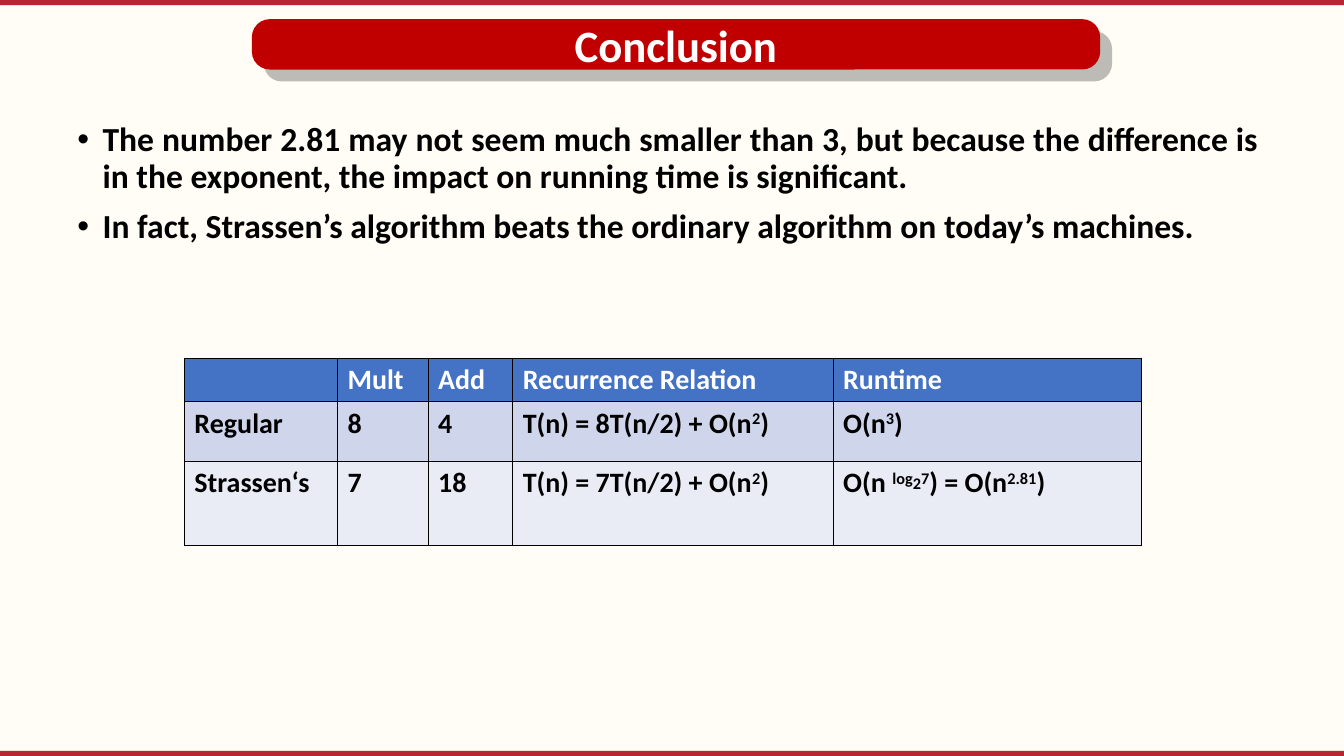
from dataclasses import dataclass

from pptx import Presentation, oxml
from pptx import util as u
from pptx.dml.color import RGBColor
from pptx.enum import shapes, text
from pptx.oxml import ns


@dataclass(frozen=True)
class Theme:
    font: str = "Calibri"
    background: str = "FFFDF5"
    edge: str = "BA2532"
    banner: str = "C00000"
    header: str = "4472C4"
    bands: tuple = ("CFD5EA", "E9EBF5")
    dark: str = "000000"
    light: str = "FFFFFF"
    title_size: int = 32
    body_size: int = 24
    table_size: int = 20


THEME = Theme()
WIDTH, HEIGHT = 13.34, 7.5
EDGE_HEIGHT = 0.05

BULLETS = (
    "The number 2.81 may not seem much smaller than 3, but because the difference is "
    "in the exponent, the impact on running time is significant.",
    "In fact, Strassen’s algorithm beats the ordinary algorithm on today’s machines.",
)

# A cell is a string, or a list of (text, baseline shift in percent)
SQUARED = [("2", 30), (")", 0)]
ROWS = (
    ("", "Mult", "Add", "Recurrence Relation", "Runtime"),
    ("Regular", "8", "4", [("T(n) = 8T(n/2) + O(n", 0), *SQUARED],
     [("O(n", 0), ("3", 30), (")", 0)]),
    ("Strassen‘s", "7", "18", [("T(n) = 7T(n/2) + O(n", 0), *SQUARED],
     [("O(n ", 0), ("log", 30), ("2", 10), ("7", 30), (") = O(n", 0),
      ("2.81", 30), (")", 0)]),
)
COLUMN_WIDTHS = (1.52, 0.9, 0.84, 3.18, 3.06)
ROW_HEIGHTS = (0.43, 0.59, 0.84)


def inches(box):
    return [u.Inches(length) for length in box]


def paint(fill, color):
    fill.solid()
    fill.fore_color.rgb = RGBColor.from_string(color)


def format_runs(paragraph, size, color):
    for run in paragraph.runs:
        run.font.name = THEME.font
        run.font.size = u.Pt(size)
        run.font.bold = True
        run.font.color.rgb = RGBColor.from_string(color)


def add_filled_shape(slide, kind, box, color):
    shape = slide.shapes.add_shape(kind, *inches(box))
    shape.shadow.inherit = False
    paint(shape.fill, color)
    shape.line.fill.background()
    return shape


def add_edges(slide, box):
    """Thin bands along the top and bottom of the box."""
    left, top, width, height = box
    for band_top in (top, top + height - EDGE_HEIGHT):
        add_filled_shape(slide, shapes.MSO_SHAPE.RECTANGLE,
                         (left, band_top, width, EDGE_HEIGHT), THEME.edge)


def add_banner(slide, box, title):
    banner = add_filled_shape(slide, shapes.MSO_SHAPE.ROUNDED_RECTANGLE, box, THEME.banner)
    banner.adjustments[0] = 0.356

    # Hard shadow down to the right
    effects = banner._element.spPr.find(ns.qn("a:effectLst"))
    effects.append(oxml.parse_xml(
        f'<a:outerShdw {ns.nsdecls("a")} blurRad="0" dist="{u.Pt(12.1)}" '
        f'dir="2700000" algn="tl" rotWithShape="0"><a:srgbClr val="{THEME.dark}">'
        '<a:alpha val="25000"/></a:srgbClr></a:outerShdw>'))

    banner.text_frame.text = title
    banner.text_frame.vertical_anchor = text.MSO_ANCHOR.MIDDLE
    paragraph = banner.text_frame.paragraphs[0]
    paragraph.alignment = text.PP_ALIGN.CENTER
    format_runs(paragraph, THEME.title_size, THEME.light)


def add_bullets(slide, box, bullets):
    frame = slide.shapes.add_textbox(*inches(box)).text_frame
    frame.word_wrap = True
    frame.text = "\n".join(bullets)
    for paragraph in frame.paragraphs:
        paragraph.alignment = text.PP_ALIGN.JUSTIFY
        paragraph.line_spacing = 0.9
        paragraph.space_before = u.Pt(10)
        format_runs(paragraph, THEME.body_size, THEME.dark)
        properties = paragraph._p.get_or_add_pPr()
        properties.set("marL", str(u.Inches(0.25)))
        properties.set("indent", str(u.Inches(-0.25)))
        for markup in ('a:buFont {} typeface="Arial"', 'a:buChar {} char="•"'):
            properties.append(oxml.parse_xml(f'<{markup.format(ns.nsdecls("a"))}/>'))


def add_borders(cell):
    properties = cell._tc.get_or_add_tcPr()
    for position, side in enumerate(("lnL", "lnR", "lnT", "lnB")):
        properties.insert(position, oxml.parse_xml(
            f'<a:{side} {ns.nsdecls("a")} w="{u.Pt(0.45)}"><a:solidFill>'
            f'<a:srgbClr val="{THEME.dark}"/></a:solidFill></a:{side}>'))


def fill_cell(cell, content, fill, color):
    paint(cell.fill, fill)
    add_borders(cell)
    paragraph = cell.text_frame.paragraphs[0]
    pieces = [(content, 0)] if isinstance(content, str) else content
    for piece, shift in pieces:
        if not piece:
            continue
        run = paragraph.add_run()
        run.text = piece
        if shift:
            run._r.get_or_add_rPr().set("baseline", str(shift * 1000))
    format_runs(paragraph, THEME.table_size, color)


def add_comparison(slide, left, top):
    box = (left, top, sum(COLUMN_WIDTHS), sum(ROW_HEIGHTS))
    table = slide.shapes.add_table(len(ROWS), len(COLUMN_WIDTHS), *inches(box)).table
    for column, width in zip(table.columns, COLUMN_WIDTHS):
        column.width = u.Inches(width)
    for row, height in zip(table.rows, ROW_HEIGHTS):
        row.height = u.Inches(height)

    fills = (THEME.header, *THEME.bands)
    for row_index, contents in enumerate(ROWS):
        color = THEME.dark if row_index else THEME.light
        for column_index, content in enumerate(contents):
            fill_cell(table.cell(row_index, column_index), content, fills[row_index], color)


def add_conclusion_slide(presentation):
    slide = presentation.slides.add_slide(presentation.slide_layouts[6])
    paint(slide.background.fill, THEME.background)
    add_edges(slide, (0, 0, WIDTH, HEIGHT))
    add_bullets(slide, (0.67, 1.17, 11.92, 5.94), BULLETS)
    add_comparison(slide, 1.83, 3.55)
    add_banner(slide, (2.5, 0.19, 8.42, 0.5), "Conclusion")


def main():
    presentation = Presentation()
    presentation.slide_width = u.Inches(WIDTH)
    presentation.slide_height = u.Inches(HEIGHT)
    add_conclusion_slide(presentation)
    presentation.save("out.pptx")


if __name__ == "__main__":
    main()
